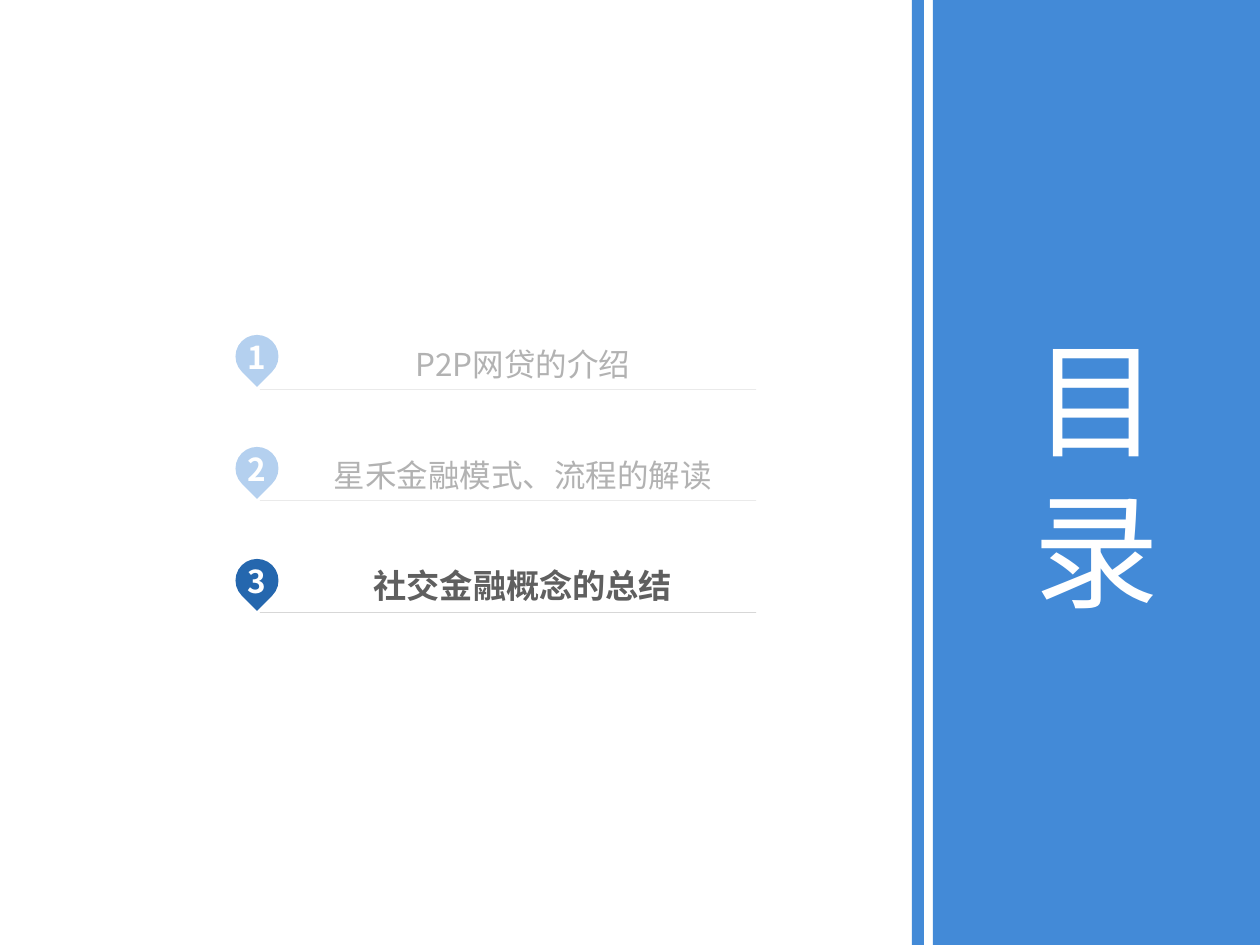
from math import sqrt

from lxml.etree import SubElement
from pptx import Presentation
from pptx.dml.color import RGBColor
from pptx.enum.shapes import MSO_SHAPE
from pptx.enum.text import MSO_ANCHOR, PP_ALIGN
from pptx.oxml.ns import qn
from pptx.util import Pt

PX = 914400 // 126  # EMU in one pixel


def color(hex_code):
    return RGBColor.from_string(hex_code)


def write_text(shape, text, size, ink, font, bold=False, spacing=None,
               insets=(0, 0, 0, 0), wrap=True):
    frame = shape.text_frame
    frame.word_wrap = wrap
    frame.vertical_anchor = MSO_ANCHOR.MIDDLE
    (frame.margin_left, frame.margin_top,
     frame.margin_right, frame.margin_bottom) = [inset * PX for inset in insets]
    for index, line in enumerate(text.split("\n")):
        para = frame.paragraphs[0] if index == 0 else frame.add_paragraph()
        para.alignment = PP_ALIGN.CENTER
        if spacing:
            para.line_spacing = spacing
        span = para.add_run()
        span.text = line
        span.font.size = Pt(size)
        span.font.bold = bold
        span.font.name = font
        span.font.color.rgb = color(ink)
        # East Asian characters take their own typeface element
        SubElement(span.font._element, qn("a:ea"), typeface=font)


deck = Presentation()
deck.slide_width, deck.slide_height = 1260 * PX, 945 * PX
page = deck.slides.add_slide(deck.slide_layouts[6])

# Agenda: a pin and an underlined title per entry
ENTRIES = [
    ("P2P网贷的介绍", "B4D0EF", "EAEAEA", "B2B2B2", 18, 1.2, False),
    ("星禾金融模式、流程的解读", "B4D0EF", "EAEAEA", "B2B2B2", 18, 1.2, False),
    ("社交金融概念的总结", "2567AE", "D7D7D7", "5F5F5F", 19, 1.1, True),
]
PIN_X, RADIUS = 257 * PX, 43 * PX // 2
SHOULDER = round(RADIUS / sqrt(2))
TITLE_LEFT, TITLE_RIGHT = 260 * PX, 756 * PX

for index, (title, pin_fill, rule, ink, size, spacing, bold) in enumerate(ENTRIES):
    rule_y = (389 + index * 223 // 2) * PX
    center_y = (335 + index * 112) * PX + RADIUS

    # Pin: tip, right shoulder, then the extremes of the round head
    builder = page.shapes.build_freeform(PIN_X, center_y + 2 * SHOULDER)
    builder.add_line_segments([
        (PIN_X + SHOULDER, center_y + SHOULDER),
        (PIN_X + RADIUS, center_y),
        (PIN_X, center_y - RADIUS),
        (PIN_X - RADIUS, center_y),
    ], close=True)
    pin = builder.convert_to_shape()
    # One arc from shoulder to shoulder takes the place of the head's lines
    outline = pin._element.find(".//" + qn("a:path"))
    for line in outline.findall(qn("a:lnTo"))[1:]:
        outline.remove(line)
    SubElement(outline, qn("a:arcTo"), wR=str(RADIUS), hR=str(RADIUS),
               stAng=str(45 * 60000), swAng=str(-270 * 60000))
    outline.append(outline.find(qn("a:close")))
    pin.shadow.inherit = False
    pin.fill.solid()
    pin.fill.fore_color.rgb = color(pin_fill)
    pin.line.fill.background()
    write_text(pin, str(index + 1), 18, "FFFFFF", "Noto Sans CJK JP",
               bold=True, insets=(0, 6, 0, 15), wrap=False)

    # Title: an outline that shows only its bottom edge
    builder = page.shapes.build_freeform(TITLE_LEFT, rule_y)
    builder.add_line_segments([(TITLE_RIGHT, rule_y)], close=True)
    builder.move_to(TITLE_LEFT, rule_y - 52 * PX)
    builder.add_line_segments([(TITLE_LEFT, rule_y - 52 * PX)], close=True)
    box = builder.convert_to_shape()
    box.shadow.inherit = False
    box.fill.background()
    box.line.color.rgb = color(rule)
    box.line.width = Pt(0.25)
    write_text(box, title, size, ink, "Noto Sans CJK SC", bold=bold,
               spacing=spacing, insets=(30, 0, 0, 5))

# Side panel and its thin stripe
panels = []
for left, width in [(933, 327), (912, 12)]:
    panel = page.shapes.add_shape(
        MSO_SHAPE.RECTANGLE, left * PX, 0, width * PX, 945 * PX)
    panel.shadow.inherit = False
    panel.fill.solid()
    panel.fill.fore_color.rgb = color("438AD7")
    panel.line.fill.background()
    panels.append(panel)
write_text(panels[0], "目\n录", 72, "FFFFFF", "Noto Sans CJK JP",
           insets=(13, 6, 13, 6))

deck.save("out.pptx")
